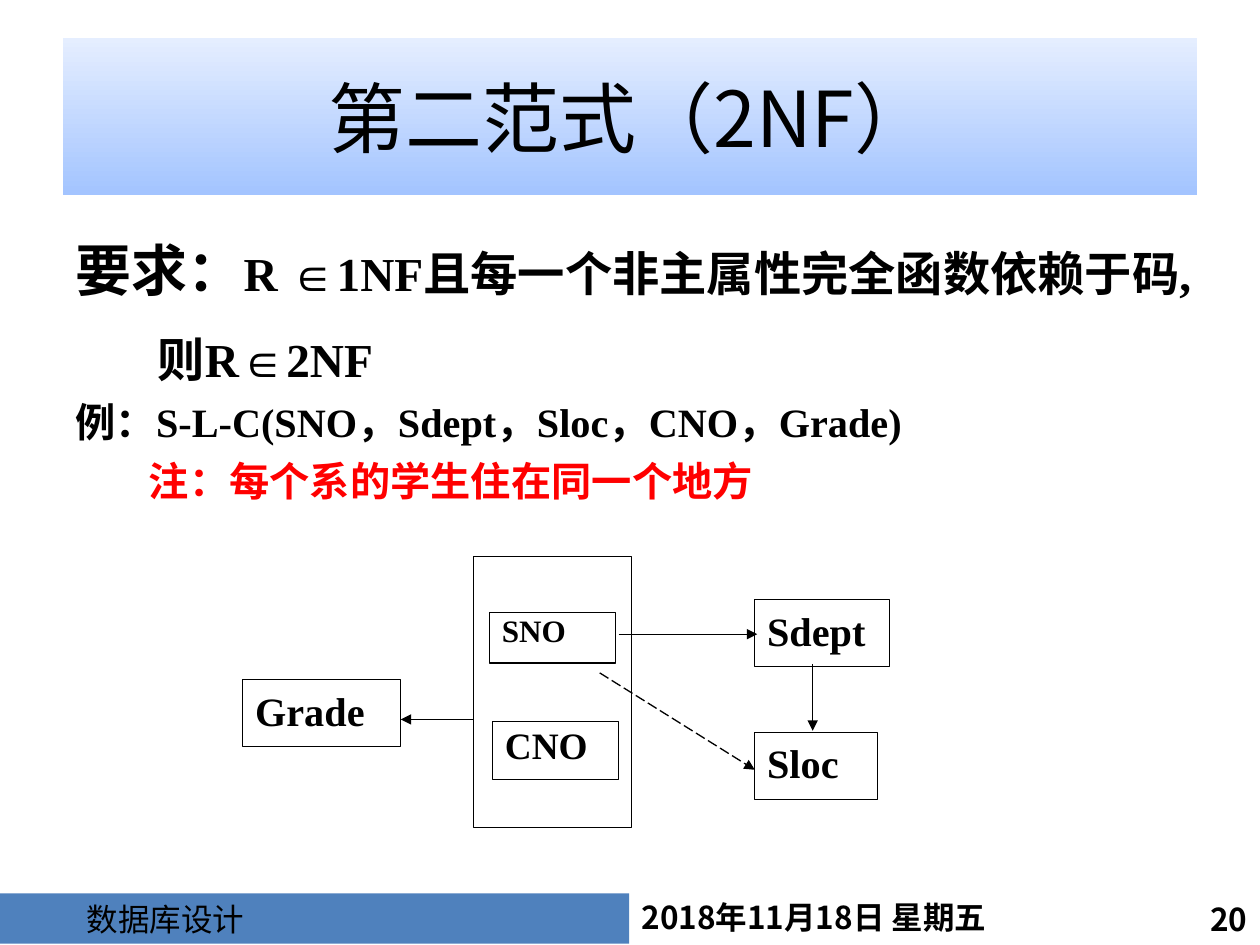
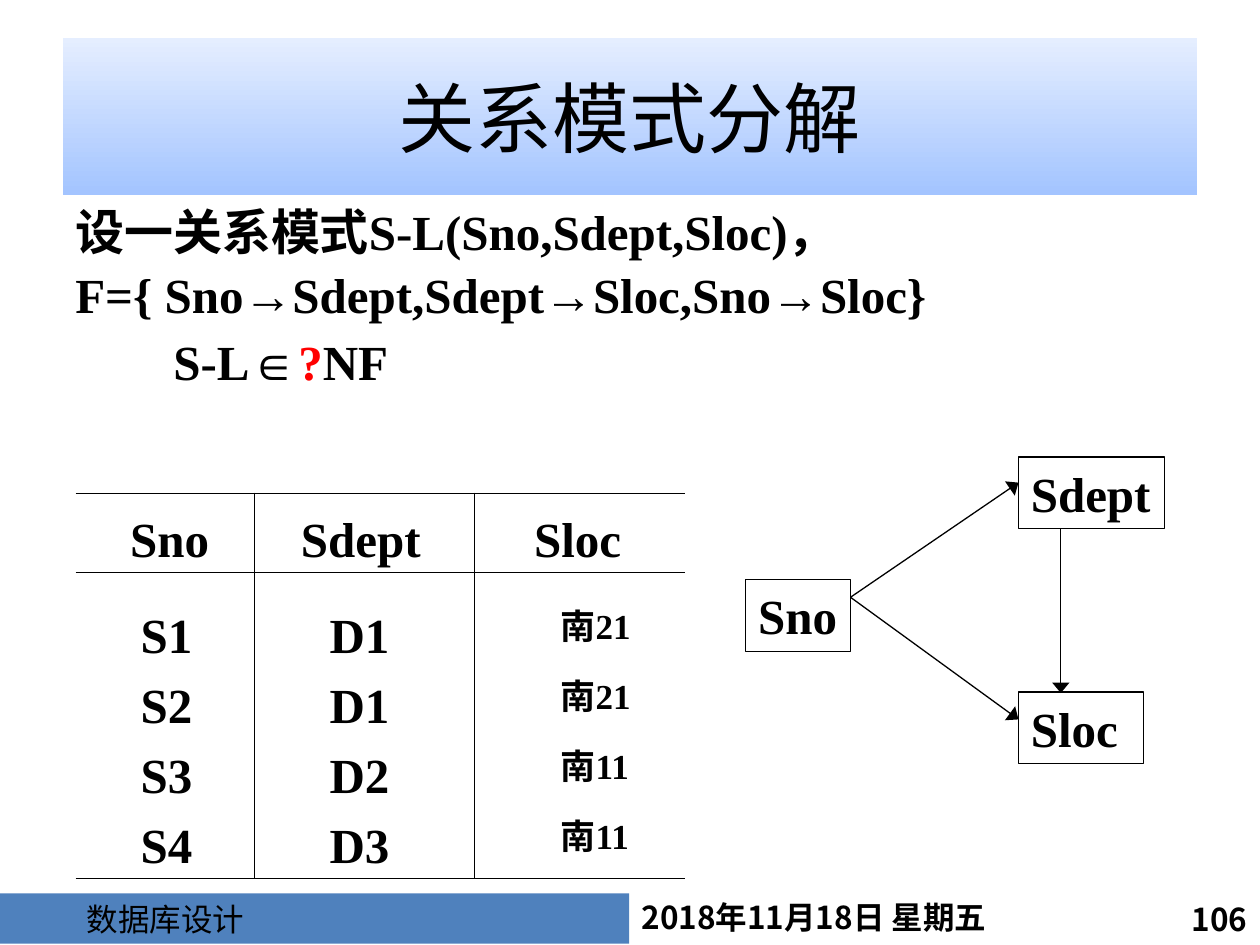
from pptx import Presentation
from pptx.dml.color import RGBColor
from pptx.enum.dml import MSO_LINE
from pptx.enum.shapes import MSO_CONNECTOR, MSO_SHAPE
from pptx.enum.text import MSO_ANCHOR, PP_ALIGN
from pptx.oxml.ns import qn
from pptx.util import Pt
from lxml import etree

RECTANGLE = MSO_SHAPE.RECTANGLE
STRAIGHT = MSO_CONNECTOR.STRAIGHT
LONG_DASH = MSO_LINE.LONG_DASH
TOP, MIDDLE, BOTTOM = MSO_ANCHOR.TOP, MSO_ANCHOR.MIDDLE, MSO_ANCHOR.BOTTOM
LEFT, CENTER, RIGHT = PP_ALIGN.LEFT, PP_ALIGN.CENTER, PP_ALIGN.RIGHT

BLACK, WHITE, RED, BAND_BLUE = "000000", "FFFFFF", "FF0000", "4F81BD"
TITLE_BOTTOM, TITLE_TOP = "A3C4FF", "E5EEFF"
SANS, SANS_FOOTER, SERIF = "Noto Sans CJK SC", "Noto Sans CJK JP", "Times New Roman"

TITLE_AREA = (36, 21.6, 648, 90)
BODY_AREA = (36, 111.6, 648, 396.7)
COURSE_AREA = (0, 510.5, 359.5, 28.8)
DATE_AREA = (359.5, 509.6, 256.3, 28.8)
NUMBER_AREA = (626.4, 510.5, 93.6, 29.4)
COURSE, DATE = "数据库设计", "2018年11月18日 星期五"

# Each paragraph: its runs as (text, format), then its own format
NORMAL_FORM = {
    "title": "第二范式（2NF）",
    "number": "20",
    "body_fill": None,
    "body": [
        ([("要求：", {"size": 32}),
          ("R ∈1NF且每一个非主属性完全函数依赖于码,", {"size": 27}),
          ("　", {"size": 20}),
          ("则R∈2NF", {"size": 27})],
         {"line_spacing": 1.5, "indent": 27, "first_line": -27}),
        ([("例：S-L-C(SNO，Sdept，Sloc，CNO，Grade)", {"size": 23})],
         {"space_before": 5.8}),
        ([("注：每个系的学生住在同一个地方", {"size": 23, "color": RED})],
         {"space_before": 5.8, "indent": 42}),
    ],
    # label, area, text size, line spacing
    "boxes": [
        ("Grade", (138.7, 388.4, 90, 38.2), 23, 1),
        ("", (270.7, 318.2, 90, 154.8), 23, 1),
        ("SNO", (279.7, 350.2, 72, 28.8), 17.8, 0.8),
        ("CNO", (281.5, 412.3, 72, 33.1), 21.3, 0.9),
        ("Sdept", (431.3, 342.7, 77, 38.2), 23, 1),
        ("Sloc", (431.3, 418.6, 70.3, 38.2), 23, 1),
    ],
    # start, end, dash
    "arrows": [
        ((270.7, 411.1), (229, 411.1), None),
        ((353.5, 362.4), (432.7, 362.4), None),
        ((464.4, 379.4), (464.4, 417.6), None),
        ((342.7, 384.5), (431.3, 439.9), LONG_DASH),
    ],
    "head_width": "med",
}

DECOMPOSITION = {
    "title": "关系模式分解",
    "number": "106",
    "body_fill": WHITE,
    "body": [
        ([("设一关系模式S-L(Sno,Sdept,Sloc)，", {})], {}),
        ([("F={ Sno→Sdept,Sdept→Sloc,Sno→Sloc}", {})],
         {"line_spacing": 0.9, "space_before": 6}),
        ([("S-L∈", {}), ("?", {"color": RED}), ("NF", {})],
         {"line_spacing": 0.9, "space_before": 8, "indent": 56}),
    ],
    "boxes": [
        ("Sno", (426.2, 331.2, 59.8, 41), 28, 1),
        ("Sdept", (582, 261.1, 83.5, 41), 28, 1),
        ("Sloc", (582, 395.5, 71.3, 41), 28, 1),
    ],
    "arrows": [
        ((486, 341.3), (582, 275.8), None),
        ((606.2, 302.4), (606.2, 396), None),
        ((486, 341.3), (582, 411.1), None),
    ],
    "head_width": "lg",
}

STUDENTS = [
    ("Sno", "Sdept", "Sloc"),
    ("S1", "D1", "南21"),
    ("S2", "D1", "南21"),
    ("S3", "D2", "南11"),
    ("S4", "D3", "南11"),
]
TABLE_LEFT, TABLE_TOP = 43.2, 281.8
COLUMN_WIDTHS = (102.2, 126, 119.8)
ROW_HEIGHTS = (45.2, 55, 40, 40, 40)
HEADER_INSETS = (31.2, 26.6, 33.8)
VALUE_INSETS = (37.2, 43, 49)
VALUE_SIZES = (28, 28, 20)
VALUE_BOTTOMS = (2.6, 2.6, 10.6)
HEADER_BOTTOM = 2.6


def rgb(color):
    return RGBColor.from_string(color)


def points(values):
    return [Pt(value) for value in values]


def write(paragraph, text, size=28, color=BLACK, font=SERIF, bold=True, align=LEFT):
    """Append one formatted run to the paragraph."""
    paragraph.alignment = align
    run = paragraph.add_run()
    run.text = text
    run.font.size, run.font.bold, run.font.name = Pt(size), bold, font
    run.font.color.rgb = rgb(color)
    east_asian = etree.SubElement(run.font._element, qn("a:ea"))
    east_asian.set("typeface", SANS if font == SERIF else font)


def shape_paragraph(paragraph, line_spacing=1, space_before=0, indent=0, first_line=0):
    paragraph.line_spacing = float(line_spacing)
    paragraph.space_before = Pt(space_before)
    properties = paragraph._p.get_or_add_pPr()
    properties.set("marL", str(Pt(indent)))
    properties.set("indent", str(Pt(first_line)))


def prepare_frame(shape, anchor=MIDDLE, right=7.2):
    frame = shape.text_frame
    frame.word_wrap = True
    frame.vertical_anchor = anchor
    frame.margin_left, frame.margin_right = Pt(7.2), Pt(right)
    frame.margin_top = frame.margin_bottom = Pt(3.6)
    return frame


def fill_solid(shape, color):
    shape.fill.solid()
    shape.fill.fore_color.rgb = rgb(color)


def add_rectangle(slide, area, fill, line=None):
    shape = slide.shapes.add_shape(RECTANGLE, *points(area))
    shape.shadow.inherit = False
    fill_solid(shape, fill)
    if line:
        shape.line.color.rgb = rgb(line)
        shape.line.width = Pt(0.75)
    else:
        shape.line.fill.background()
    return shape


def add_title(slide, text):
    title = slide.shapes.title
    title.left, title.top, title.width, title.height = points(TITLE_AREA)
    title.fill.gradient()
    title.fill.gradient_angle = 90
    for stop, color in zip(title.fill.gradient_stops, (TITLE_BOTTOM, TITLE_TOP)):
        stop.color.rgb = rgb(color)
    write(prepare_frame(title).paragraphs[0], text, size=44, font=SANS,
          bold=False, align=CENTER)


def add_footer(slide, number):
    for text, area, align in ((DATE, DATE_AREA, LEFT), (number, NUMBER_AREA, RIGHT)):
        box = slide.shapes.add_textbox(*points(area))
        write(prepare_frame(box).paragraphs[0], text, size=18, font=SANS, align=align)
    band = add_rectangle(slide, COURSE_AREA, BAND_BLUE)
    paragraph = prepare_frame(band).paragraphs[0]
    shape_paragraph(paragraph, indent=42.5)
    write(paragraph, COURSE, size=18, font=SANS_FOOTER, bold=False)


def add_body(slide, paragraphs, fill):
    box = slide.shapes.add_textbox(*points(BODY_AREA))
    if fill:
        fill_solid(box, fill)
    frame = prepare_frame(box, TOP)
    for index, (runs, layout) in enumerate(paragraphs):
        paragraph = frame.add_paragraph() if index else frame.paragraphs[0]
        shape_paragraph(paragraph, **layout)
        for text, style in runs:
            write(paragraph, text, **style)


def add_box(slide, label, area, size, line_spacing):
    box = add_rectangle(slide, area, WHITE, BLACK)
    if label:
        paragraph = prepare_frame(box, TOP, right=0).paragraphs[0]
        shape_paragraph(paragraph, line_spacing)
        write(paragraph, label, size=size)


def add_arrow(slide, start, end, dash, head_width):
    arrow = slide.shapes.add_connector(STRAIGHT, *points(start + end))
    arrow.line.color.rgb = rgb(BLACK)
    arrow.line.width = Pt(0.75)
    if dash:
        arrow.line.dash_style = dash
    properties = arrow._element.spPr
    etree.SubElement(properties.find(qn("a:ln")), qn("a:tailEnd"),
                     type="triangle", w=head_width)
    etree.SubElement(properties, qn("a:effectLst"))


def set_borders(cell, visible):
    """Draw the named cell sides in black and hide the others."""
    properties = cell._tc.get_or_add_tcPr()
    for side in "LRTB":
        border = etree.SubElement(properties, qn("a:ln" + side), w=str(Pt(0.75)))
        if side in visible:
            fill = etree.SubElement(border, qn("a:solidFill"))
            etree.SubElement(fill, qn("a:srgbClr"), val=BLACK)
        else:
            etree.SubElement(border, qn("a:noFill"))


def add_students(slide):
    area = (TABLE_LEFT, TABLE_TOP, sum(COLUMN_WIDTHS), sum(ROW_HEIGHTS))
    table = slide.shapes.add_table(len(STUDENTS), len(COLUMN_WIDTHS), *points(area)).table
    table.first_row = table.horz_banding = False
    for column, width in zip(table.columns, COLUMN_WIDTHS):
        column.width = Pt(width)
    last_row, last_column = len(STUDENTS) - 1, len(COLUMN_WIDTHS) - 1
    for row, values in enumerate(STUDENTS):
        table.rows[row].height = Pt(ROW_HEIGHTS[row])
        for column, value in enumerate(values):
            cell = table.cell(row, column)
            visible = "L" * (column > 0) + "R" * (column < last_column)
            visible += "T" * (row < 2) + "B" * (row in (0, last_row))
            set_borders(cell, visible)
            cell.fill.background()
            cell.vertical_anchor = BOTTOM
            insets = VALUE_INSETS if row else HEADER_INSETS
            cell.margin_left = Pt(insets[column])
            cell.margin_right = cell.margin_top = 0
            cell.margin_bottom = Pt(VALUE_BOTTOMS[column] if row else HEADER_BOTTOM)
            write(cell.text_frame.paragraphs[0], value,
                  size=VALUE_SIZES[column] if row else 28)


def add_slide(presentation, content):
    slide = presentation.slides.add_slide(presentation.slide_layouts[5])
    add_footer(slide, content["number"])
    add_body(slide, content["body"], content["body_fill"])
    add_title(slide, content["title"])
    for box in content["boxes"]:
        add_box(slide, *box)
    for arrow in content["arrows"]:
        add_arrow(slide, *arrow, content["head_width"])
    return slide


def main():
    presentation = Presentation()
    presentation.slide_width, presentation.slide_height = Pt(720), Pt(540)
    add_slide(presentation, NORMAL_FORM)
    add_students(add_slide(presentation, DECOMPOSITION))
    presentation.save("out.pptx")


if __name__ == "__main__":
    main()
